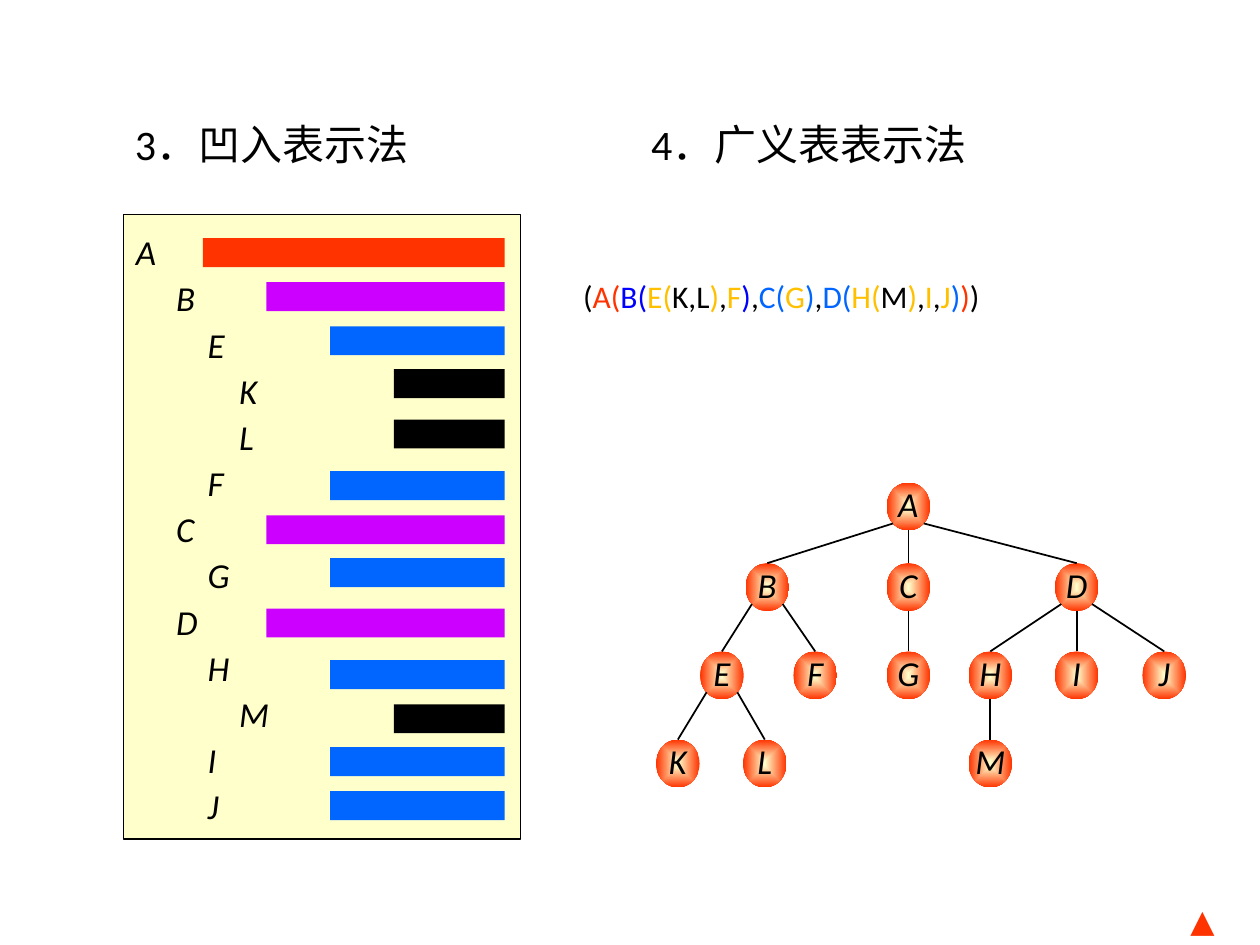
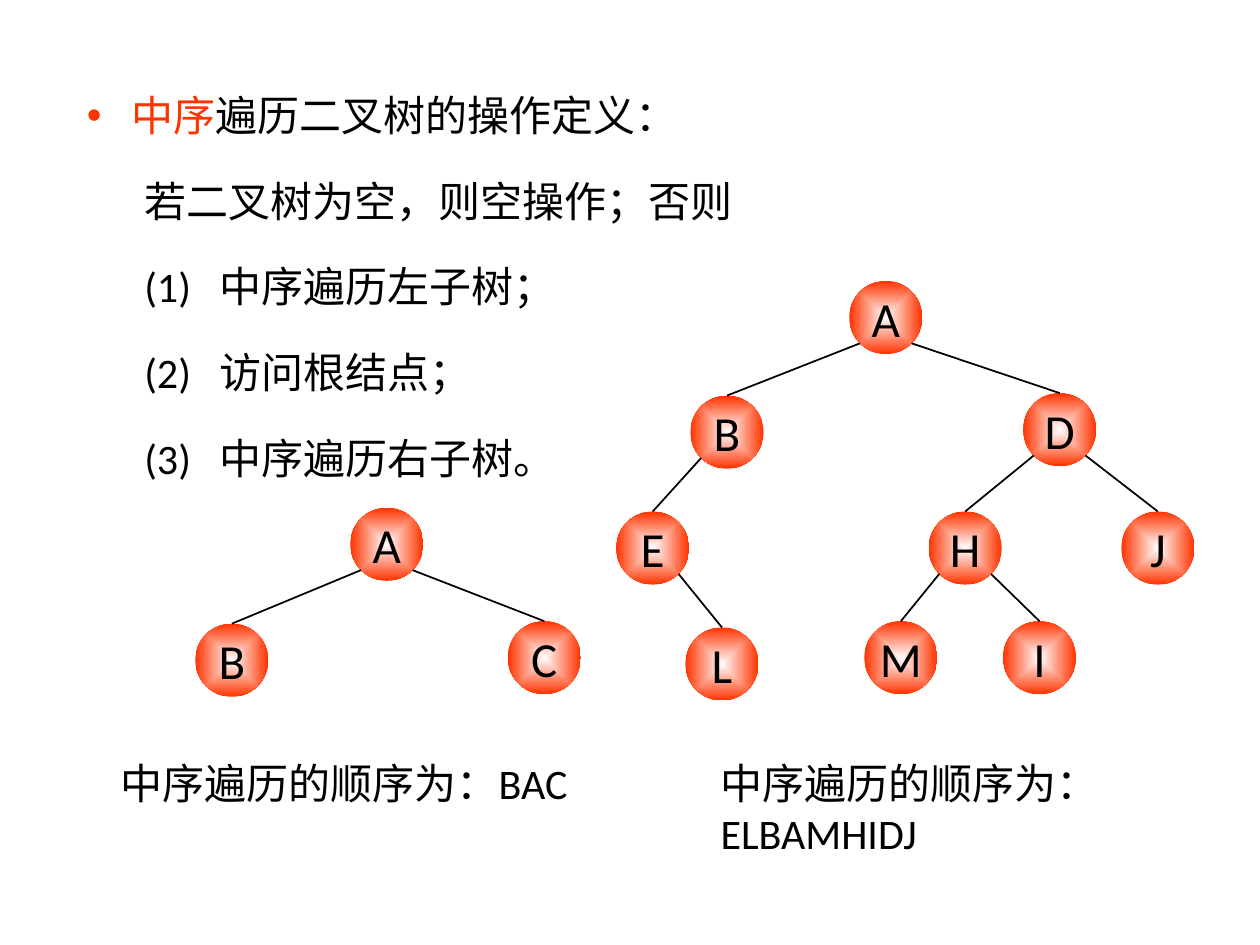
from dataclasses import dataclass
from typing import NamedTuple, Optional

from lxml import etree
from pptx import Presentation, util as u
from pptx.dml.color import RGBColor
from pptx.enum import shapes, text
from pptx.oxml import parse_xml
from pptx.oxml.ns import nsdecls, qn

FONT = "Calibri"
BLACK = RGBColor(0x00, 0x00, 0x00)
WHITE = RGBColor(0xFF, 0xFF, 0xFF)
CREAM = RGBColor(0xFF, 0xFF, 0xCC)
RED = RGBColor(0xFF, 0x33, 0x00)
PURPLE = RGBColor(0xCC, 0x00, 0xFF)
BLUE = RGBColor(0x00, 0x66, 0xFF)
NAVY = RGBColor(0x00, 0x00, 0xFF)
GOLD = RGBColor(0xFF, 0xC0, 0x00)

# The slide is a grid of 100 columns and 75 rows of square cells.
WIDTH, HEIGHT = u.Inches(10), u.Inches(7.5)
COLUMNS, ROWS = 100, 75
DIAGONAL = 0.3536  # share of a node's size from its centre to its rim at 45 degrees


class Box(NamedTuple):
    left: float
    top: float
    width: float
    height: float


class Span(NamedTuple):
    text: str
    color: RGBColor = BLACK


class Bar(NamedTuple):
    label: str
    depth: int
    top: float


class Node(NamedTuple):
    label: str
    center: float
    top: float
    parent: Optional[str] = None


class Item(NamedTuple):
    spans: list[Span]
    margin: float
    hanging: float = 0
    bullet: bool = False


@dataclass(frozen=True)
class TreeStyle:
    width: float
    height: float
    core: RGBColor
    size: int
    italic: bool
    spacing: float


def col(n: float) -> int:
    return round(n * WIDTH / COLUMNS)


def row(n: float) -> int:
    return round(n * HEIGHT / ROWS)


def place(box: Box) -> tuple[int, int, int, int]:
    return col(box.left), row(box.top), col(box.width), row(box.height)


def style_font(font, size: int, color: RGBColor, italic: bool = False) -> None:
    font.name, font.size, font.italic, font.bold = FONT, u.Pt(size), italic, False
    font.color.rgb = color


def write_spans(p, spans: list[Span], size: int) -> None:
    for span in spans:
        r = p.add_run()
        r.text = span.text
        style_font(r.font, size, span.color)


def set_indent(p, margin: float, hanging: float = 0):
    pPr = p._p.get_or_add_pPr()
    pPr.set("marL", str(col(margin)))
    pPr.set("indent", str(-col(hanging)))
    return pPr


def add_text(s, box: Box, lines: list[list[Span]], size: int = 24, spacing: float = 1.0) -> None:
    tf = s.shapes.add_textbox(*place(box)).text_frame
    tf.word_wrap = True
    for i, spans in enumerate(lines):
        p = tf.add_paragraph() if i else tf.paragraphs[0]
        p.line_spacing = spacing
        write_spans(p, spans, size)


def move_placeholder(sp, box: Box):
    """Place a placeholder, make its text start at the top left, and return its frame."""
    sp.left, sp.top, sp.width, sp.height = place(box)
    tf = sp.text_frame
    tf.word_wrap, tf.auto_size = True, text.MSO_AUTO_SIZE.NONE
    tf.vertical_anchor = text.MSO_ANCHOR.TOP
    return tf


def add_rect(s, box: Box, fill: RGBColor):
    sp = s.shapes.add_shape(shapes.MSO_SHAPE.RECTANGLE, *place(box))
    sp.shadow.inherit = False
    sp.fill.solid()
    sp.fill.fore_color.rgb = fill
    sp.line.fill.background()
    return sp


def fill_radial(sp, core: RGBColor, rim: RGBColor) -> None:
    """Fill with a gradient that follows the outline from the core to the rim."""
    grad = parse_xml(
        f'<a:gradFill rotWithShape="1" {nsdecls("a")}><a:gsLst>'
        f'<a:gs pos="0"><a:srgbClr val="{core}"/></a:gs>'
        f'<a:gs pos="100000"><a:srgbClr val="{rim}"/></a:gs></a:gsLst>'
        '<a:path path="shape">'
        '<a:fillToRect l="50000" t="50000" r="50000" b="50000"/></a:path></a:gradFill>'
    )
    sp._element.spPr.find(qn("a:prstGeom")).addnext(grad)


def add_node(s, node: Node, style: TreeStyle):
    box = Box(node.center - style.width / 2, node.top, style.width, style.height)
    sp = s.shapes.add_shape(shapes.MSO_SHAPE.OVAL, *place(box))
    sp.shadow.inherit = False
    sp.line.fill.background()
    fill_radial(sp, style.core, RED)
    tf = sp.text_frame
    tf.margin_left = tf.margin_right = tf.margin_top = tf.margin_bottom = 0
    tf.word_wrap, tf.vertical_anchor = False, text.MSO_ANCHOR.MIDDLE
    tf.text = node.label
    p = tf.paragraphs[0]
    p.alignment, p.line_spacing = text.PP_ALIGN.CENTER, style.spacing
    style_font(p.runs[0].font, style.size, BLACK, style.italic)
    return sp


def add_branch(s, parent: Node, child: Node, child_shape, style: TreeStyle) -> None:
    side = (child.center > parent.center) - (child.center < parent.center)
    x = parent.center + side * DIAGONAL * style.width
    y = parent.top + style.height * (0.5 + (DIAGONAL if side else 0.5))
    line = s.shapes.add_connector(
        shapes.MSO_CONNECTOR.STRAIGHT, col(x), row(y), col(child.center), row(child.top))
    line.end_connect(child_shape, 0)
    line.line.color.rgb, line.line.width = BLACK, u.Pt(1)
    etree.SubElement(line._element.spPr, qn("a:effectLst"))


def draw_tree(s, nodes: list[Node], style: TreeStyle) -> None:
    by_label = {node.label: node for node in nodes}
    drawn = {node.label: add_node(s, node, style) for node in nodes}
    for node in nodes:
        if node.parent:
            add_branch(s, by_label[node.parent], node, drawn[node.label], style)


SMALL_NODES = TreeStyle(3.45, 3.8, CREAM, 20, True, 0.9)
LARGE_NODES = TreeStyle(5.8, 5.8, WHITE, 28, False, 1.0)

PANEL = Box(9.8, 17, 31.5, 49.6)
BARS = [
    Bar("A", 0, 18.9), Bar("B", 1, 22.4), Bar("E", 2, 25.9), Bar("K", 3, 29.3),
    Bar("L", 3, 33.3), Bar("F", 2, 37.4), Bar("C", 1, 40.9), Bar("G", 2, 44.3),
    Bar("D", 1, 48.3), Bar("H", 2, 52.4), Bar("M", 3, 55.9), Bar("I", 2, 59.3),
    Bar("J", 2, 62.8),
]
BAR_COLORS = [RED, PURPLE, BLUE, BLACK]
LABEL_INDENTS = [0, 3.2, 5.7, 8.2]
BAR_LEFT, BAR_STEP, BAR_RIGHT, BAR_HEIGHT = 16.1, 5.05, 40.05, 2.3

EXPRESSION = [
    Span("("), Span("A(", RED), Span("B(", NAVY), Span("E(", GOLD), Span("K,L"),
    Span(")", GOLD), Span(","), Span("F", GOLD), Span(")", NAVY), Span(","),
    Span("C(", BLUE), Span("G", GOLD), Span(")", BLUE), Span(","), Span("D(", BLUE),
    Span("H(", GOLD), Span("M"), Span(")", GOLD), Span(","), Span("I", GOLD),
    Span(","), Span("J", GOLD), Span(")", BLUE), Span(")", RED), Span(")"),
]

LEVELS = [38.3, 44.7, 51.7, 58.7]
GENERAL_TREE = [
    Node("A", 72.1, LEVELS[0]),
    Node("B", 60.9, LEVELS[1], "A"), Node("C", 72.1, LEVELS[1], "A"),
    Node("D", 85.45, LEVELS[1], "A"),
    Node("E", 57.3, LEVELS[2], "B"), Node("F", 64.7, LEVELS[2], "B"),
    Node("G", 72.1, LEVELS[2], "C"), Node("H", 78.6, LEVELS[2], "D"),
    Node("I", 85.45, LEVELS[2], "D"), Node("J", 92.4, LEVELS[2], "D"),
    Node("K", 53.8, LEVELS[3], "E"), Node("L", 60.7, LEVELS[3], "E"),
    Node("M", 78.6, LEVELS[3], "H"),
]

THREE_NODE_TREE = [
    Node("A", 30.7, 40.3), Node("B", 18.4, 49.5, "A"), Node("C", 43.2, 49.3, "A"),
]
BINARY_TREE = [
    Node("A", 70.3, 22.3), Node("B", 57.7, 31.4, "A"), Node("D", 84.1, 31.2, "A"),
    Node("E", 51.8, 40.6, "B"), Node("H", 76.6, 40.6, "D"), Node("J", 91.9, 40.6, "D"),
    Node("L", 57.3, 49.8, "E"), Node("M", 71.5, 49.3, "H"), Node("I", 82.5, 49.3, "H"),
]

DEFINITION = [
    Item([Span("中序", RED), Span("遍历二叉树的操作定义：")], 3.5, 3.5, True),
    Item([Span("若二叉树为空，则空操作；否则")], 4.55),
    *(Item([Span(f"({i})\t{step}")], 10.5, 5.95) for i, step in enumerate(
        ["中序遍历左子树；", "访问根结点；", "中序遍历右子树。"], 1)),
]
ORDER_CAPTION = "中序遍历的顺序为："


def draw_indented_bars(s) -> None:
    panel = add_rect(s, PANEL, CREAM)
    panel.line.color.rgb, panel.line.width = BLACK, u.Pt(0.75)
    tf = panel.text_frame
    tf.word_wrap, tf.vertical_anchor = True, text.MSO_ANCHOR.MIDDLE
    tf.text = "\n".join(bar.label for bar in BARS)
    for bar, p in zip(BARS, tf.paragraphs):
        set_indent(p, LABEL_INDENTS[bar.depth])
        p.alignment, p.line_spacing = text.PP_ALIGN.LEFT, 1.1
        style_font(p.runs[0].font, 20, BLACK, italic=True)
        left = BAR_LEFT + BAR_STEP * bar.depth
        add_rect(s, Box(left, bar.top, BAR_RIGHT - left, BAR_HEIGHT), BAR_COLORS[bar.depth])


def build_notations(prs) -> None:
    s = prs.slides.add_slide(prs.slide_layouts.get_by_name("Title Only"))
    p = move_placeholder(s.shapes.title, Box(9.7, 8.9, 28, 5)).paragraphs[0]
    p.alignment = text.PP_ALIGN.LEFT
    write_spans(p, [Span("3．凹入表示法")], 24)
    draw_indented_bars(s)
    add_text(s, Box(93.5, 72.3, 5.4, 3), [[Span("▲", RED)]], 18, 0.5)
    add_text(s, Box(50.7, 8.9, 32, 5), [[Span("4．广义表表示法")]])
    draw_tree(s, GENERAL_TREE, SMALL_NODES)
    add_text(s, Box(45.3, 21.5, 38, 4), [EXPRESSION], 18)


def build_inorder(prs) -> None:
    s = prs.slides.add_slide(prs.slide_layouts.get_by_name("Title and Content"))
    title = s.shapes.title._element
    title.getparent().remove(title)
    tf = move_placeholder(s.placeholders[1], Box(5.9, 3.8, 56, 34.9))
    for i, item in enumerate(DEFINITION):
        p = tf.add_paragraph() if i else tf.paragraphs[0]
        pPr = set_indent(p, item.margin, item.hanging)
        if not item.bullet:
            etree.SubElement(pPr, qn("a:buNone"))
        p.line_spacing, p.space_before = 1.7, u.Pt(0)
        write_spans(p, item.spans, 24)
    add_text(s, Box(8.6, 59.6, 42.5, 5), [[Span(ORDER_CAPTION + "BAC")]])
    add_text(s, Box(56.2, 59.6, 35.8, 9.1), [[Span(ORDER_CAPTION)], [Span("ELBAMHIDJ")]])
    draw_tree(s, THREE_NODE_TREE, LARGE_NODES)
    draw_tree(s, BINARY_TREE, LARGE_NODES)


def main() -> None:
    prs = Presentation()
    prs.slide_width, prs.slide_height = WIDTH, HEIGHT
    build_notations(prs)
    build_inorder(prs)
    prs.save("out.pptx")


if __name__ == "__main__":
    main()
